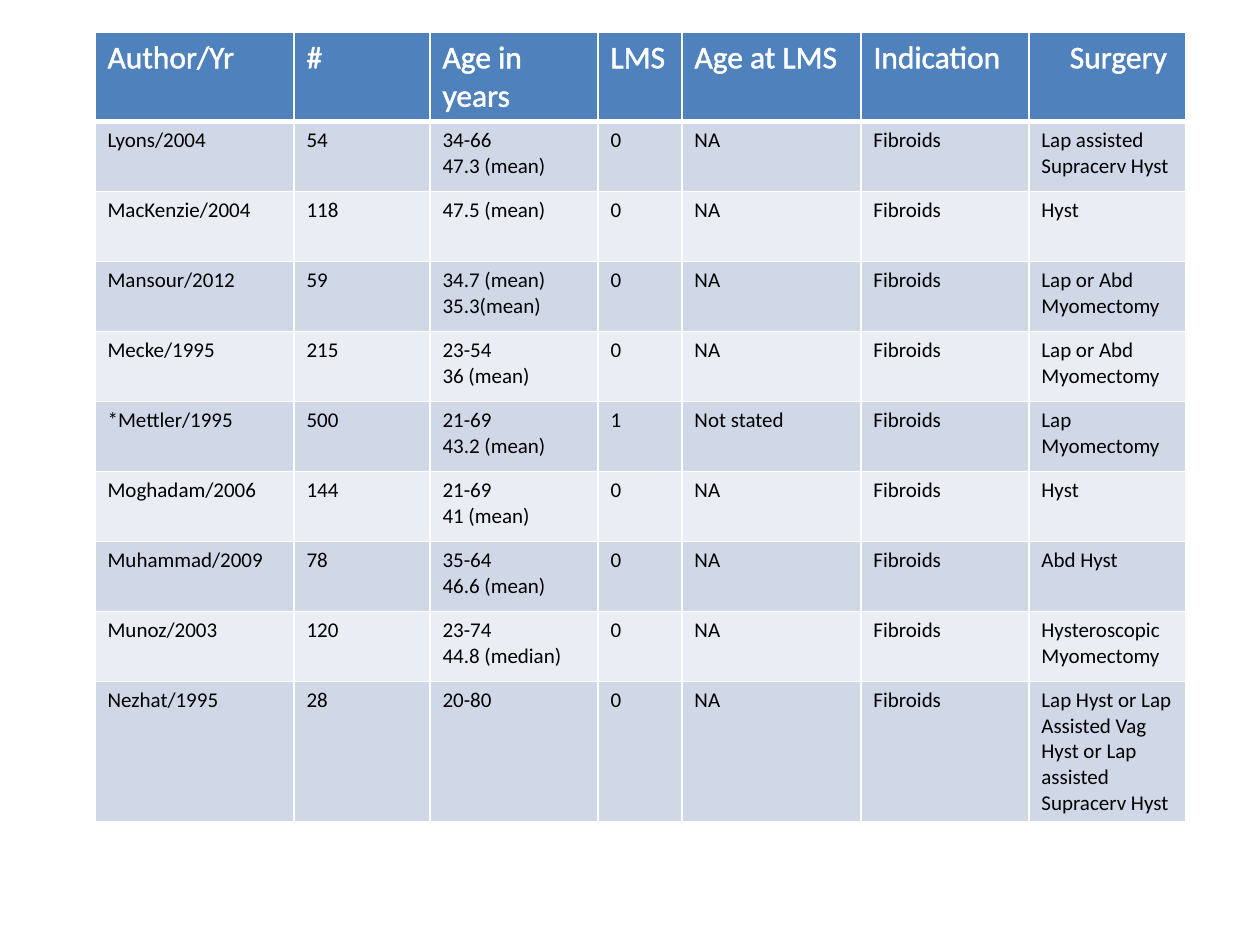
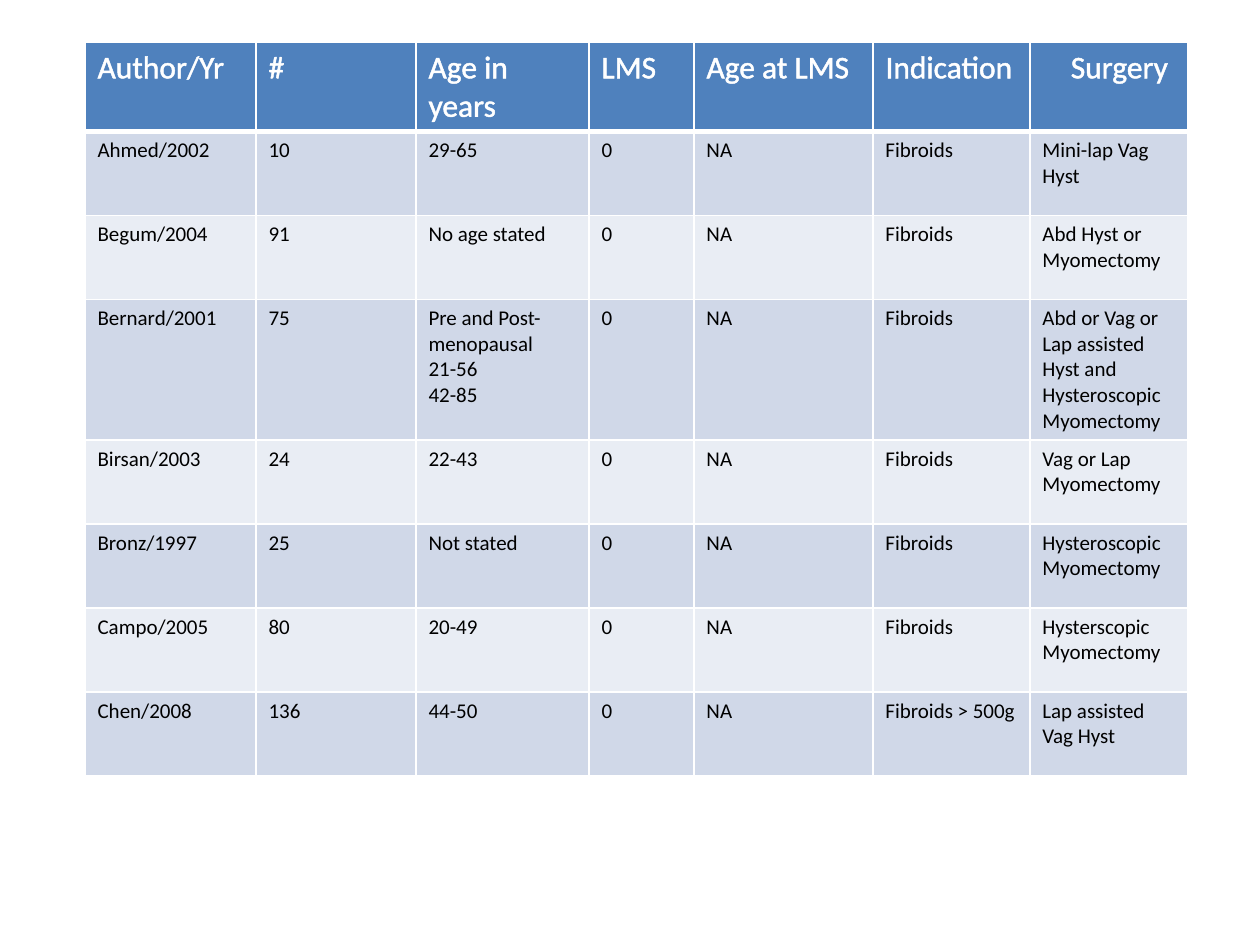
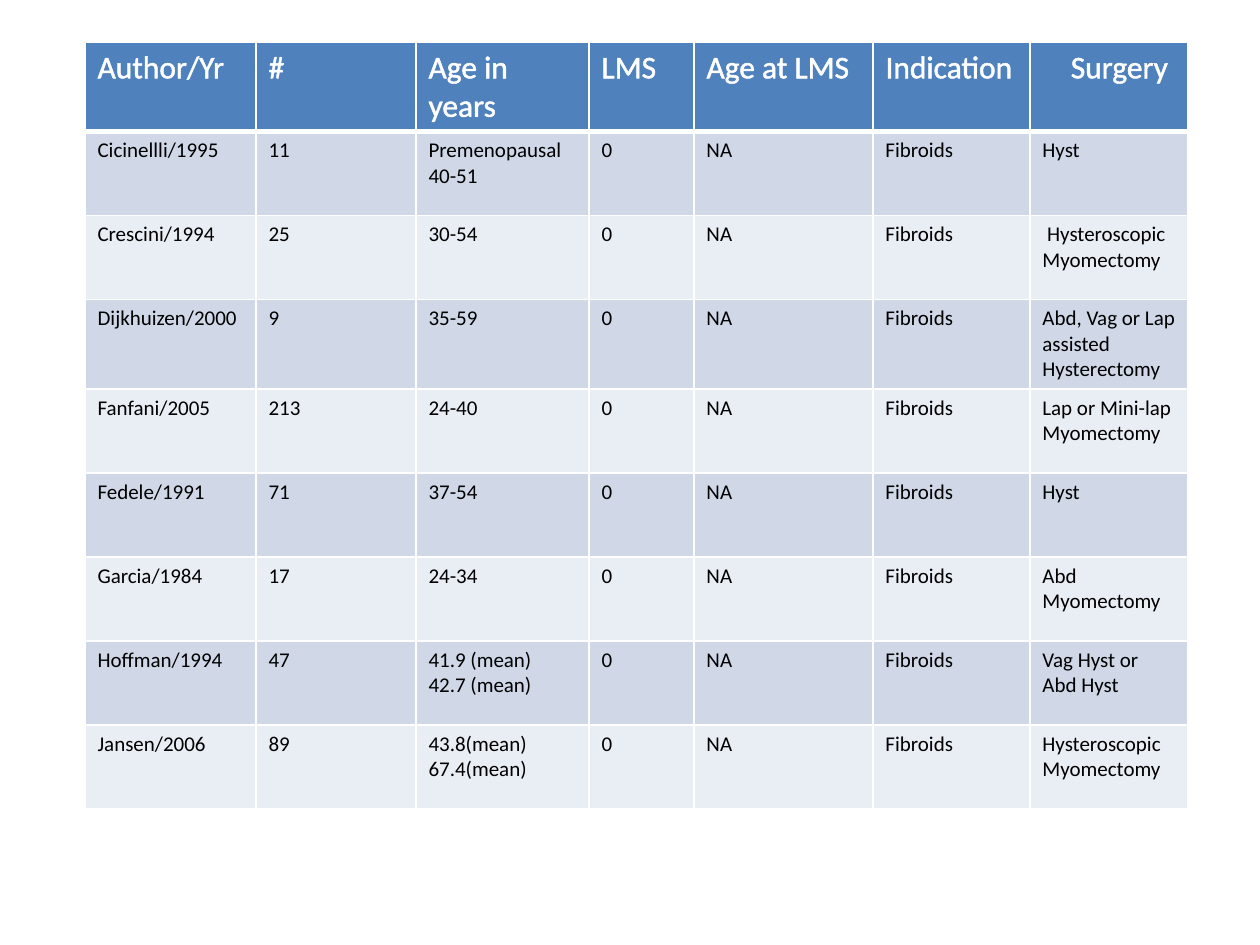
import pptx
import pptx.util
import pptx.dml.color
import pptx.oxml
import pptx.oxml.ns

COLORS = {
    "header": "4F81BD",
    "odd_row": "D0D8E8",
    "even_row": "E9EDF4",
    "white": "FFFFFF",
    "text": "000000",
}
FONT = "Calibri"
PX_PER_INCH = 126
MARGIN_X = 13
SURGERY_INDENT = 28
HEADERS = ["Author/Yr", "#", "Age in years", "LMS", "Age at LMS", "Indication", "Surgery"]
WIDE_AUTHOR_COLUMNS = [199, 136, 168, 84, 179, 168, 157]
WIDE_LMS_COLUMNS = [171, 160, 173, 105, 179, 157, 158]


def study(author, count, age, surgery, lms="0", age_at_lms="NA", indication="Fibroids"):
    return [author, count, age, lms, age_at_lms, indication, surgery]


STUDIES_LYONS_TO_NEZHAT = [
    study("Lyons/2004", "54", "34-66\n47.3 (mean)", "Lap assisted Supracerv Hyst"),
    study("MacKenzie/2004", "118", "47.5 (mean)", "Hyst"),
    study("Mansour/2012", "59", "34.7 (mean)\n35.3(mean)", "Lap or Abd Myomectomy"),
    study("Mecke/1995", "215", "23-54\n36 (mean)", "Lap or Abd Myomectomy"),
    study("*Mettler/1995", "500", "21-69\n43.2 (mean)", "Lap Myomectomy", lms="1", age_at_lms="Not stated"),
    study("Moghadam/2006", "144", "21-69\n41 (mean)", "Hyst"),
    study("Muhammad/2009", "78", "35-64\n46.6 (mean)", "Abd Hyst"),
    study("Munoz/2003", "120", "23-74\n44.8 (median)", "Hysteroscopic Myomectomy"),
    study("Nezhat/1995", "28", "20-80", "Lap Hyst or Lap Assisted Vag Hyst or Lap assisted Supracerv Hyst"),
]
STUDIES_AHMED_TO_CHEN = [
    study("Ahmed/2002", "10", "29-65", "Mini-lap Vag Hyst"),
    study("Begum/2004", "91", "No age stated", "Abd Hyst or Myomectomy"),
    study("Bernard/2001", "75", "Pre and Post-menopausal\n21-56\n42-85",
          "Abd or Vag or Lap assisted Hyst and Hysteroscopic Myomectomy"),
    study("Birsan/2003", "24", "22-43", "Vag or Lap Myomectomy"),
    study("Bronz/1997", "25", "Not stated", "Hysteroscopic Myomectomy"),
    study("Campo/2005", "80", "20-49", "Hysterscopic\nMyomectomy"),
    study("Chen/2008", "136", "44-50", "Lap assisted Vag Hyst", indication="Fibroids > 500g"),
]
STUDIES_CICINELLI_TO_JANSEN = [
    study("Cicinellli/1995", "11", "Premenopausal\n40-51", "Hyst"),
    study("Crescini/1994", "25", "30-54", " Hysteroscopic Myomectomy"),
    study("Dijkhuizen/2000", "9", "35-59", "Abd, Vag or Lap assisted Hysterectomy"),
    study("Fanfani/2005", "213", "24-40", "Lap or Mini-lap Myomectomy"),
    study("Fedele/1991", "71", "37-54", "Hyst"),
    study("Garcia/1984", "17", "24-34", "Abd Myomectomy"),
    study("Hoffman/1994", "47", "41.9 (mean)\n42.7 (mean)", "Vag Hyst or Abd Hyst"),
    study("Jansen/2006", "89", "43.8(mean)\n67.4(mean)", "Hysteroscopic Myomectomy"),
]


def px(length):
    return pptx.util.Emu(round(length * pptx.util.Inches(1) / PX_PER_INCH))


def color(name):
    return pptx.dml.color.RGBColor.from_string(COLORS[name])


def line_element(tag, points):
    namespace = pptx.oxml.ns.nsdecls("a")
    return pptx.oxml.parse_xml(
        f'<a:{tag} {namespace} w="{pptx.util.Pt(points)}"><a:solidFill>'
        f'<a:srgbClr val="{COLORS["white"]}"/></a:solidFill></a:{tag}>'
    )


def write_text(text_frame, text, size=12, color_name="text", outline=0):
    for index, line in enumerate(text.split("\n")):
        paragraph = text_frame.paragraphs[0] if index == 0 else text_frame.add_paragraph()
        run = paragraph.add_run()
        run.text = line
        run.font.name = FONT
        run.font.size = pptx.util.Pt(size)
        run.font.bold = False
        run.font.color.rgb = color(color_name)
        if outline:
            run.font._element.insert(0, line_element("ln", outline))


def style_cell(cell, fill_name, top=1, bottom=1):
    cell.fill.solid()
    cell.fill.fore_color.rgb = color(fill_name)
    properties = cell._tc.get_or_add_tcPr()
    borders = {"lnL": 1, "lnR": 1, "lnT": top, "lnB": bottom}
    for index, (tag, points) in enumerate(borders.items()):
        properties.insert(index, line_element(tag, points))


def fill_header(table):
    for cell, heading in zip(table.rows[0].cells, HEADERS):
        style_cell(cell, "header", bottom=3)
        write_text(cell.text_frame, heading, size=18, color_name="white", outline=1.45)
    table.cell(0, len(HEADERS) - 1).margin_left = px(MARGIN_X + SURGERY_INDENT)


def fill_studies(table, studies):
    for row_index, values in enumerate(studies, start=1):
        fill_name = "odd_row" if row_index % 2 else "even_row"
        for cell, value in zip(table.rows[row_index].cells, values):
            style_cell(cell, fill_name, top=3 if row_index == 1 else 1)
            write_text(cell.text_frame, value)


def add_study_slide(presentation, studies, left, top, height, columns, row_height):
    slide = presentation.slides.add_slide(presentation.slide_layouts[6])
    frame = slide.shapes.add_table(
        len(studies) + 1, len(HEADERS), px(left), px(top), px(sum(columns)), px(height)
    )
    table = frame.table
    table.first_row = False
    table.horz_banding = False
    for column, width in zip(table.columns, columns):
        column.width = px(width)
    for row in table.rows:
        row.height = px(row_height)
    frame.height = px(height)
    fill_header(table)
    fill_studies(table, studies)


def main():
    presentation = pptx.Presentation()
    presentation.slide_width = px(1260)
    presentation.slide_height = px(945)
    add_study_slide(presentation, STUDIES_LYONS_TO_NEZHAT, 95, 32, 790, WIDE_AUTHOR_COLUMNS, 70)
    add_study_slide(presentation, STUDIES_AHMED_TO_CHEN, 85, 42, 731, WIDE_LMS_COLUMNS, 84)
    add_study_slide(presentation, STUDIES_CICINELLI_TO_JANSEN, 85, 42, 765, WIDE_LMS_COLUMNS, 84)
    presentation.save("out.pptx")


if __name__ == "__main__":
    main()
